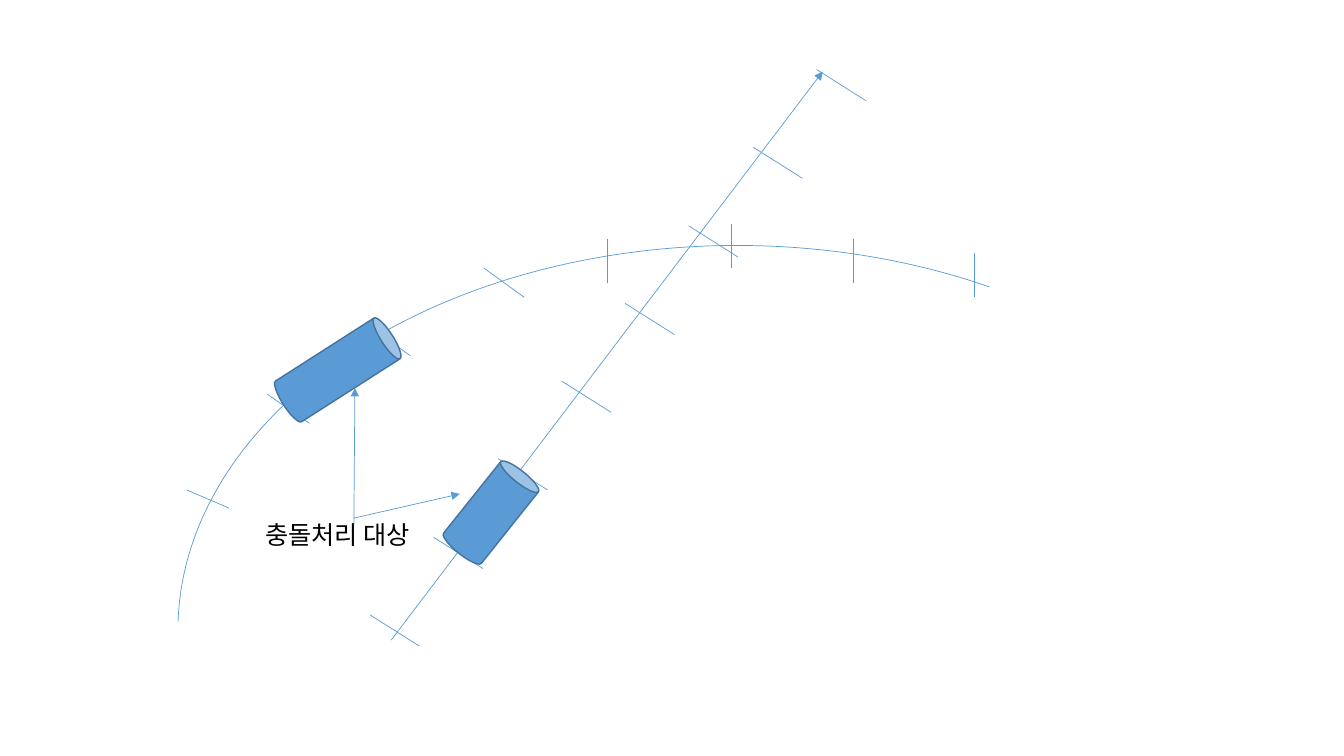
from lxml.etree import SubElement
from pptx import Presentation
from pptx.dml.color import RGBColor
from pptx.enum.shapes import MSO_CONNECTOR as CONN, MSO_SHAPE as SHAPE
from pptx.enum.text import MSO_AUTO_SIZE as AUTO_SIZE
from pptx.oxml.ns import qn
from pptx.util import Emu, Pt

BLUE = RGBColor(0x5B, 0x9B, 0xD5)
DARK_BLUE = RGBColor(0x43, 0x73, 0x9E)
BLACK = RGBColor(0, 0, 0)
FONT = "Noto Sans CJK KR"

# Left end, right end of each tick across the curved path
CURVE_TICKS = [
    (185, 486, 227, 504), (265, 391, 307, 420),
    (367, 324, 407, 353), (480, 266, 520, 295),
]
# Top point of each upright tick on the curved path
UPRIGHT_TICKS = [(602, 237), (725, 222), (846, 237), (966, 251)]
UPRIGHT_LENGTH = 44


def px(n):
    """100 px to the inch."""
    return Emu(n * 9144)


def add_line(s, x1, y1, x2, y2, arrow=False):
    c = s.shapes.add_connector(CONN.STRAIGHT, px(x1), px(y1), px(x2), px(y2))
    c.line.color.rgb = BLUE
    c.line.width = Pt(0.5)
    if arrow:
        SubElement(c.line._get_or_add_ln(), qn("a:tailEnd"), type="triangle")
    SubElement(c._element.spPr, qn("a:effectLst"))


def add_preset(s, kind, x, y, w, h, rotation, line, width, fill=None):
    sp = s.shapes.add_shape(kind, px(x), px(y), px(w), px(h))
    sp.rotation = rotation
    sp.shadow.inherit = False
    sp.line.color.rgb = line
    sp.line.width = Pt(width)
    if fill is None:
        sp.fill.background()
    else:
        sp.fill.solid()
        sp.fill.fore_color.rgb = fill
    return sp


def add_can(s, x, y, w, h, rotation):
    add_preset(s, SHAPE.CAN, x, y, w, h, rotation, DARK_BLUE, 1, BLUE)


def add_label(s, text, x, y, w, h):
    tf = s.shapes.add_textbox(px(x), px(y), px(w), px(h)).text_frame
    tf.word_wrap = False
    tf.auto_size = AUTO_SIZE.SHAPE_TO_FIT_TEXT
    p = tf.paragraphs[0]
    r = p.add_run()
    r.text = text
    p.font.size = Pt(18)
    p.font.color.rgb = BLACK
    p.font.name = FONT
    # Hangul takes the East Asian typeface
    SubElement(r._r.get_or_add_rPr(), qn("a:ea"), typeface=FONT)


def main():
    prs = Presentation()
    prs.slide_width, prs.slide_height = px(1333), px(750)
    s = prs.slides.add_slide(prs.slide_layouts[6])

    # Curved path and straight path
    arc = add_preset(s, SHAPE.ARC, 349, 71, 764, 1109, 270, BLUE, 0.5)
    arc.adjustments[0], arc.adjustments[1] = 162.545, 21.755
    add_line(s, 388, 635, 816, 71, arrow=True)

    # Ticks on the curved path
    for tick in CURVE_TICKS:
        add_line(s, *tick)
    for x, y in UPRIGHT_TICKS:
        add_line(s, x, y, x, y + UPRIGHT_LENGTH)

    # Eight evenly spaced ticks on the straight path
    for i in range(8):
        x, y = 367 + round(i * 443 / 7), 610 - round(i * 541 / 7)
        add_line(s, x, y, x + 49, y + 31)

    # Swept volumes
    add_can(s, 311, 303, 48, 128, 57.4)
    add_can(s, 463, 457, 48, 103, 38.6)

    # Label and its pointers
    add_line(s, 351, 514, 456, 490, arrow=True)
    add_line(s, 351, 521, 352, 385, arrow=True)
    add_label(s, "충돌처리 대상", 253, 510, 181, 40)

    prs.save("out.pptx")


if __name__ == "__main__":
    main()
